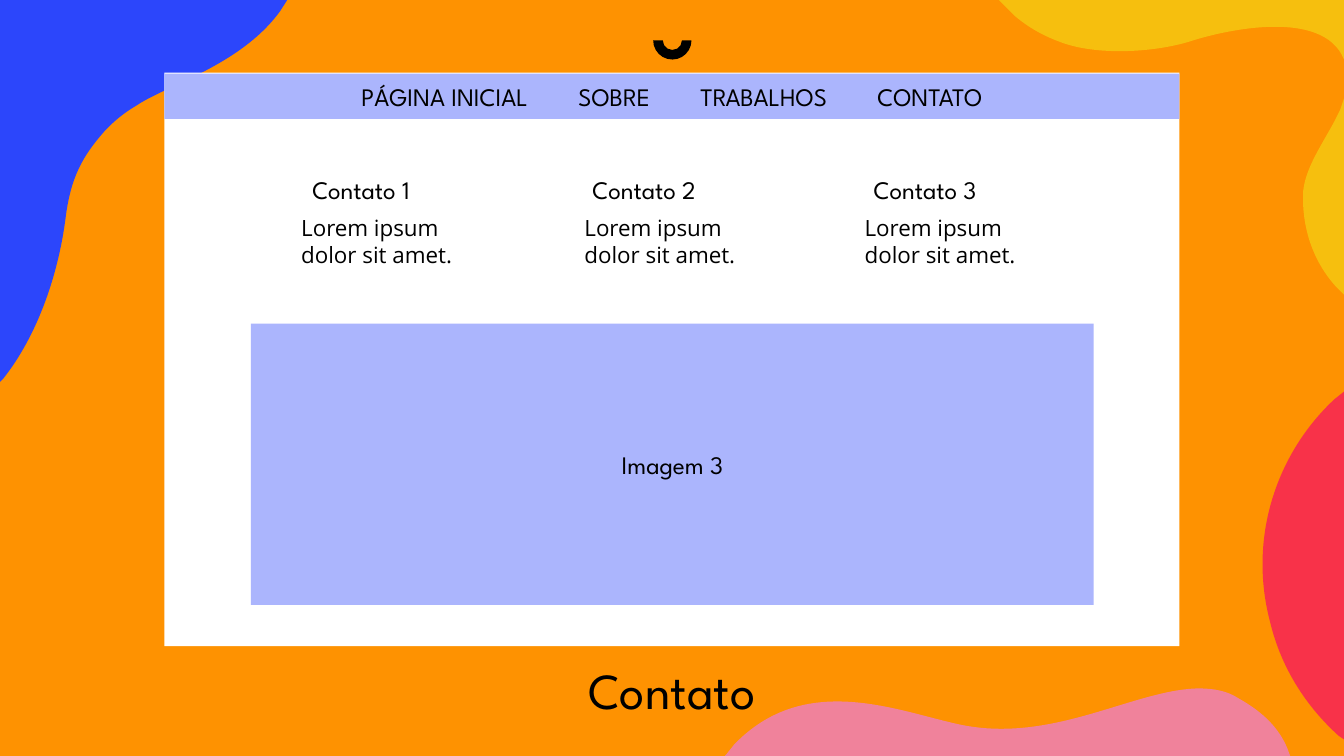
import dataclasses
import typing

import lxml.etree
import pptx
import pptx.dml.color
import pptx.enum.shapes
import pptx.enum.text
import pptx.oxml.ns
import pptx.util

RGBColor = pptx.dml.color.RGBColor
MSO_SHAPE = pptx.enum.shapes.MSO_SHAPE
MSO_ANCHOR = pptx.enum.text.MSO_ANCHOR
MSO_AUTO_SIZE = pptx.enum.text.MSO_AUTO_SIZE
PP_ALIGN = pptx.enum.text.PP_ALIGN

ORANGE = RGBColor(0xFE, 0x92, 0x01)
PINK = RGBColor(0xF0, 0x82, 0x9B)
RED = RGBColor(0xF8, 0x32, 0x49)
YELLOW = RGBColor(0xF6, 0xBF, 0x0E)
BLUE = RGBColor(0x2C, 0x46, 0xFB)
LILAC = RGBColor(0xAB, 0xB5, 0xFD)
WHITE = RGBColor(0xFF, 0xFF, 0xFF)
BLACK = RGBColor(0x00, 0x00, 0x00)

HEADING_FONT = "League Spartan"
BODY_FONT = "Open Sans"
EMU_PER_PX = 9144  # 100 px to the inch
EM_SPACE = chr(0x2003)

Point = tuple[int, int]


class Box(typing.NamedTuple):
    left: int
    top: int
    width: int
    height: int

    def emu(self) -> list[int]:
        return [length * EMU_PER_PX for length in self]


@dataclasses.dataclass
class Blob:
    """Closed contours; each step is one line end or three curve points."""
    box: Box
    color: RGBColor
    contours: list[list[tuple[Point, ...]]]


@dataclasses.dataclass
class Panel:
    box: Box
    color: RGBColor
    text: str = ""
    kind: MSO_SHAPE = MSO_SHAPE.RECTANGLE
    rotation: int = 0


@dataclasses.dataclass
class Label:
    box: Box
    text: str
    font: str
    size: int


BLOBS = [
    Blob(Box(719, 683, 561, 67), PINK, [[
        ((1189, 683),),
        ((1203, 683), (1217, 685), (1229, 693)),
        ((1254, 707), (1269, 723), (1277, 742)),
        ((1280, 750),), ((719, 750),), ((721, 748),),
        ((723, 745), (726, 742), (728, 739)),
        ((799, 665), (891, 706), (953, 719)),
        ((1045, 738), (1125, 684), (1189, 683)),
    ]]),
    Blob(Box(1252, 388, 82, 346), RED, [[
        ((1334, 388),), ((1334, 734),), ((1328, 730),),
        ((1296, 701), (1271, 663), (1260, 617)),
        ((1238, 534), (1266, 450), (1324, 396)),
    ]]),
    Blob(Box(991, 0, 343, 293), YELLOW, [
        [
            ((1334, 96),), ((1334, 293),), ((1326, 285),),
            ((1302, 259), (1291, 224), (1293, 189)),
            ((1296, 162), (1318, 135), (1330, 108)),
        ],
        [
            ((991, 0),), ((1334, 0),), ((1334, 60),), ((1333, 58),),
            ((1312, 9), (1218, 29), (1181, 41)),
            ((1146, 52), (1087, 56), (1050, 41)),
            ((1034, 35), (1020, 27), (1007, 16)),
        ],
    ]),
    Blob(Box(-1, 0, 286, 380), BLUE, [[
        ((-1, 0),), ((285, 0),), ((278, 11),),
        ((239, 65), (164, 85), (135, 105)),
        ((123, 112), (112, 121), (103, 131)),
        ((82, 155), (70, 176), (65, 217)),
        ((58, 271), (38, 332), (3, 376)),
        ((-1, 380),),
    ]]),
]

ARC = Panel(Box(648, 21, 38, 38), BLACK, kind=MSO_SHAPE.BLOCK_ARC, rotation=180)
MENU = (2 * EM_SPACE).join(["PÁGINA INICIAL", "SOBRE", "TRABALHOS", "CONTATO"])
PANELS = [
    Panel(Box(163, 72, 1007, 569), WHITE),
    Panel(Box(163, 73, 1007, 45), LILAC, MENU),
    Panel(Box(249, 321, 836, 279), LILAC, "Imagem 3"),
]
HEADINGS = [
    Label(Box(left, 168, 176, 40), f"Contato {number}", HEADING_FONT, 18)
    for number, left in enumerate((300, 578, 857), start=1)
]
DETAILS = [
    Label(Box(left, 208, 174, 64), "Lorem ipsum dolor sit amet.", BODY_FONT, 16)
    for left in (289, 570, 848)
]
TITLE = Label(Box(178, 656, 977, 188), "Contato", HEADING_FONT, 36)


def apply_format(target: typing.Any, values: dict[str, typing.Any]) -> None:
    for name, value in values.items():
        setattr(target, name, value)


def write_text(shape: typing.Any, text: str, font: str, size: int,
               frame_format: dict[str, typing.Any],
               paragraph_format: dict[str, typing.Any]) -> None:
    apply_format(shape.text_frame, {"word_wrap": True, **frame_format})
    paragraph = shape.text_frame.paragraphs[0]
    apply_format(paragraph, paragraph_format)
    run = paragraph.add_run()
    run.text = text
    apply_format(run.font, {"name": font, "size": pptx.util.Pt(size)})
    run.font.color.rgb = BLACK


def paint(shape: typing.Any, color: RGBColor) -> None:
    shape.shadow.inherit = False
    shape.fill.solid()
    shape.fill.fore_color.rgb = color
    shape.line.fill.background()


def draw_blob(slide: typing.Any, blob: Blob) -> None:
    left, top, width, height = blob.box.emu()
    builder = slide.shapes.build_freeform(left, top)
    builder.add_line_segments([(left + width, top), (left + width, top + height)])
    shape = builder.convert_to_shape()
    paint(shape, blob.color)

    # Curved outline inside the freeform's box
    qualify = pptx.oxml.ns.qn
    geometry = next(shape.element.iter(qualify("a:path")))
    for command in list(geometry):
        geometry.remove(command)
    for contour in blob.contours:
        for index, step in enumerate(contour):
            tag = "a:moveTo" if index == 0 else "a:lnTo" if len(step) == 1 else "a:cubicBezTo"
            command = lxml.etree.SubElement(geometry, qualify(tag))
            for x, y in step:
                point = lxml.etree.SubElement(command, qualify("a:pt"))
                point.set("x", str(x * EMU_PER_PX - left))
                point.set("y", str(y * EMU_PER_PX - top))
        lxml.etree.SubElement(geometry, qualify("a:close"))


def draw_panel(slide: typing.Any, panel: Panel) -> None:
    shape = slide.shapes.add_shape(panel.kind, *panel.box.emu())
    shape.rotation = panel.rotation
    paint(shape, panel.color)
    if panel.text:
        write_text(shape, panel.text, HEADING_FONT, 18,
                   {"vertical_anchor": MSO_ANCHOR.MIDDLE}, {"alignment": PP_ALIGN.CENTER})


def draw_label(slide: typing.Any, label: Label) -> None:
    shape = slide.shapes.add_textbox(*label.box.emu())
    write_text(shape, label.text, label.font, label.size,
               {"auto_size": MSO_AUTO_SIZE.SHAPE_TO_FIT_TEXT}, {})


def place_title(slide: typing.Any, label: Label) -> None:
    title = slide.shapes.title
    title.element.getparent().append(title.element)  # in front of the blobs
    apply_format(title, dict(zip(("left", "top", "width", "height"), label.box.emu())))
    write_text(title, label.text, label.font, label.size,
               {"vertical_anchor": MSO_ANCHOR.TOP, "auto_size": MSO_AUTO_SIZE.NONE},
               {"alignment": PP_ALIGN.CENTER, "line_spacing": 0.9})


def main() -> None:
    presentation = pptx.Presentation()
    presentation.slide_width = pptx.util.Emu(12192000)
    presentation.slide_height = 750 * EMU_PER_PX
    slide = presentation.slides.add_slide(presentation.slide_layouts[5])
    slide.background.fill.solid()
    slide.background.fill.fore_color.rgb = ORANGE
    # Decoration
    for blob in BLOBS:
        draw_blob(slide, blob)
    draw_panel(slide, ARC)
    # Title and page mock-up
    place_title(slide, TITLE)
    for panel in PANELS:
        draw_panel(slide, panel)
    for label in HEADINGS + DETAILS:
        draw_label(slide, label)
    presentation.save("out.pptx")


if __name__ == "__main__":
    main()
